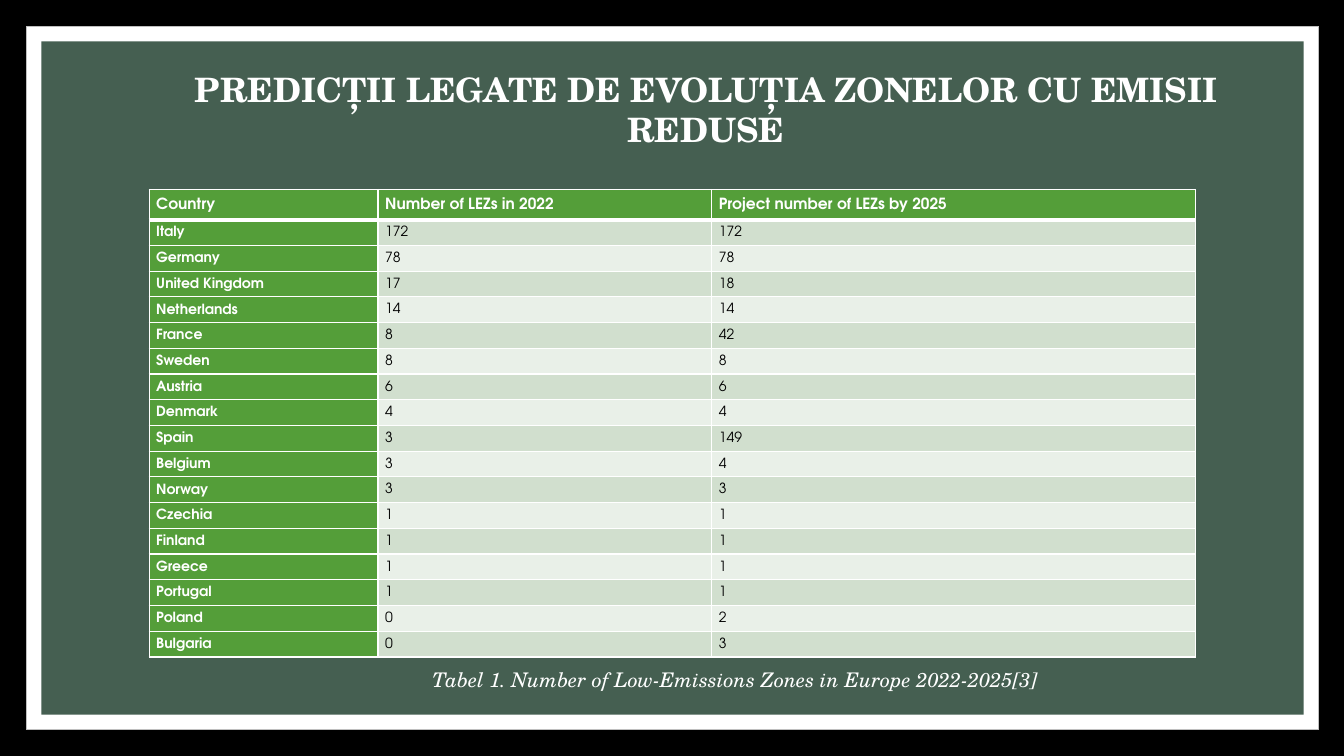
from lxml.etree import SubElement
from pptx import Presentation
from pptx.dml.color import RGBColor
from pptx.enum.shapes import MSO_SHAPE
from pptx.enum.text import MSO_ANCHOR as Anchor, PP_ALIGN as Align
from pptx.oxml.ns import qn
from pptx.util import Inches, Pt

BLACK = RGBColor(0x00, 0x00, 0x00)
WHITE = RGBColor(0xFF, 0xFF, 0xFF)
FRAME_EDGE = RGBColor(0xBF, 0xBF, 0xBF)
DARK_GREEN = RGBColor(0x45, 0x5F, 0x51)
HEADER_GREEN = RGBColor(0x54, 0x9E, 0x39)
ROW_BANDS = (RGBColor(0xD1, 0xDF, 0xCE), RGBColor(0xE9, 0xF0, 0xE8))

SERIF = "TeX Gyre Schola"
SANS = "TeX Gyre Adventor"

TITLE = "PREDICȚII LEGATE DE EVOLUȚIA ZONELOR CU EMISII REDUSE"
CAPTION = "Tabel 1. Number of Low-Emissions Zones in Europe 2022-2025[3]"
HEADINGS = ("Country", "Number of LEZs in 2022", "Project number of LEZs by 2025")
ZONES = (
    ("Italy", 172, 172),
    ("Germany", 78, 78),
    ("United Kingdom", 17, 18),
    ("Netherlands", 14, 14),
    ("France", 8, 42),
    ("Sweden", 8, 8),
    ("Austria", 6, 6),
    ("Denmark", 4, 4),
    ("Spain", 3, 149),
    ("Belgium", 3, 4),
    ("Norway", 3, 3),
    ("Czechia", 1, 1),
    ("Finland", 1, 1),
    ("Greece", 1, 1),
    ("Portugal", 1, 1),
    ("Poland", 0, 2),
    ("Bulgaria", 0, 3),
)
COLUMN_WIDTHS = (2.27, 3.31, 4.8)
TABLE_HEIGHT = 4.64
HEADER_HEIGHT = 0.3


def style_font(font, name, size, color, bold=False, italic=False):
    font.name = name
    font.size = Pt(size)
    font.color.rgb = color
    font.bold = bold
    font.italic = italic


def add_panel(slide, left, top, width, height, color, edge=None):
    panel = slide.shapes.add_shape(
        MSO_SHAPE.RECTANGLE, Inches(left), Inches(top), Inches(width), Inches(height))
    panel.shadow.inherit = False
    panel.fill.solid()
    panel.fill.fore_color.rgb = color
    if edge is None:
        panel.line.fill.background()
    else:
        panel.line.color.rgb = edge
        panel.line.width = Pt(0.5)


def add_text(slide, left, top, width, height, text):
    """Add a wrapping one-paragraph box; return its frame and paragraph."""
    box = slide.shapes.add_textbox(
        Inches(left), Inches(top), Inches(width), Inches(height))
    frame = box.text_frame
    frame.word_wrap = True
    frame.text = text
    return frame, frame.paragraphs[0]


def set_borders(cell, **widths):
    """Draw white borders; widths maps L, R, T and B to points."""
    properties = cell._tc.get_or_add_tcPr()
    for side in "LRTB":
        line = SubElement(properties, qn(f"a:ln{side}"), w=str(Pt(widths.get(side, 1))))
        fill = SubElement(line, qn("a:solidFill"))
        SubElement(fill, qn("a:srgbClr"), val=str(WHITE))


def fill_cell(cell, text, row, column):
    is_header = row == 0
    is_label = is_header or column == 0
    set_borders(cell, B=3 if is_header else 1, T=3 if row == 1 else 1)
    cell.fill.solid()
    cell.fill.fore_color.rgb = HEADER_GREEN if is_label else ROW_BANDS[(row - 1) % 2]
    cell.margin_left = cell.margin_right = Inches(0.07)
    cell.margin_top = cell.margin_bottom = 0
    cell.vertical_anchor = Anchor.MIDDLE
    cell.text_frame.text = str(text)
    para = cell.text_frame.paragraphs[0]
    para.alignment = Align.JUSTIFY
    para.line_spacing = 1.07
    style_font(para.runs[0].font, SANS, 11 if is_header else 10,
               WHITE if is_label else BLACK, bold=is_label)


def add_zone_table(slide):
    rows = (HEADINGS, *ZONES)
    table = slide.shapes.add_table(
        len(rows), len(HEADINGS), Inches(1.48), Inches(1.88),
        Inches(sum(COLUMN_WIDTHS)), Inches(TABLE_HEIGHT)).table
    for column, width in zip(table.columns, COLUMN_WIDTHS):
        column.width = Inches(width)
    row_height = (TABLE_HEIGHT - HEADER_HEIGHT) / len(ZONES)
    for row, values in enumerate(rows):
        table.rows[row].height = Inches(row_height if row else HEADER_HEIGHT)
        for column, value in enumerate(values):
            fill_cell(table.cell(row, column), value, row, column)


def add_title(slide):
    _, para = add_text(slide, 1.29, 0.63, 11.42, 0.91, TITLE)
    para.alignment = Align.CENTER
    style_font(para.runs[0].font, SERIF, 24, WHITE, bold=True)


def add_caption(slide):
    frame, para = add_text(slide, 4.19, 6.65, 7.03, 0.52, CAPTION)
    frame.margin_top = 0
    para.line_spacing = 0.9
    style_font(para.runs[0].font, SERIF, 14.4, WHITE, italic=True)


def main():
    deck = Presentation()
    deck.slide_width = Inches(13.33)
    deck.slide_height = Inches(7.5)
    slide = deck.slides.add_slide(deck.slide_layouts[6])
    slide.background.fill.solid()
    slide.background.fill.fore_color.rgb = BLACK
    add_panel(slide, 0.26, 0.26, 12.82, 6.98, WHITE, FRAME_EDGE)
    add_panel(slide, 0.41, 0.41, 12.52, 6.68, DARK_GREEN)
    add_caption(slide)
    add_zone_table(slide)
    add_title(slide)
    deck.save("out.pptx")


if __name__ == "__main__":
    main()
